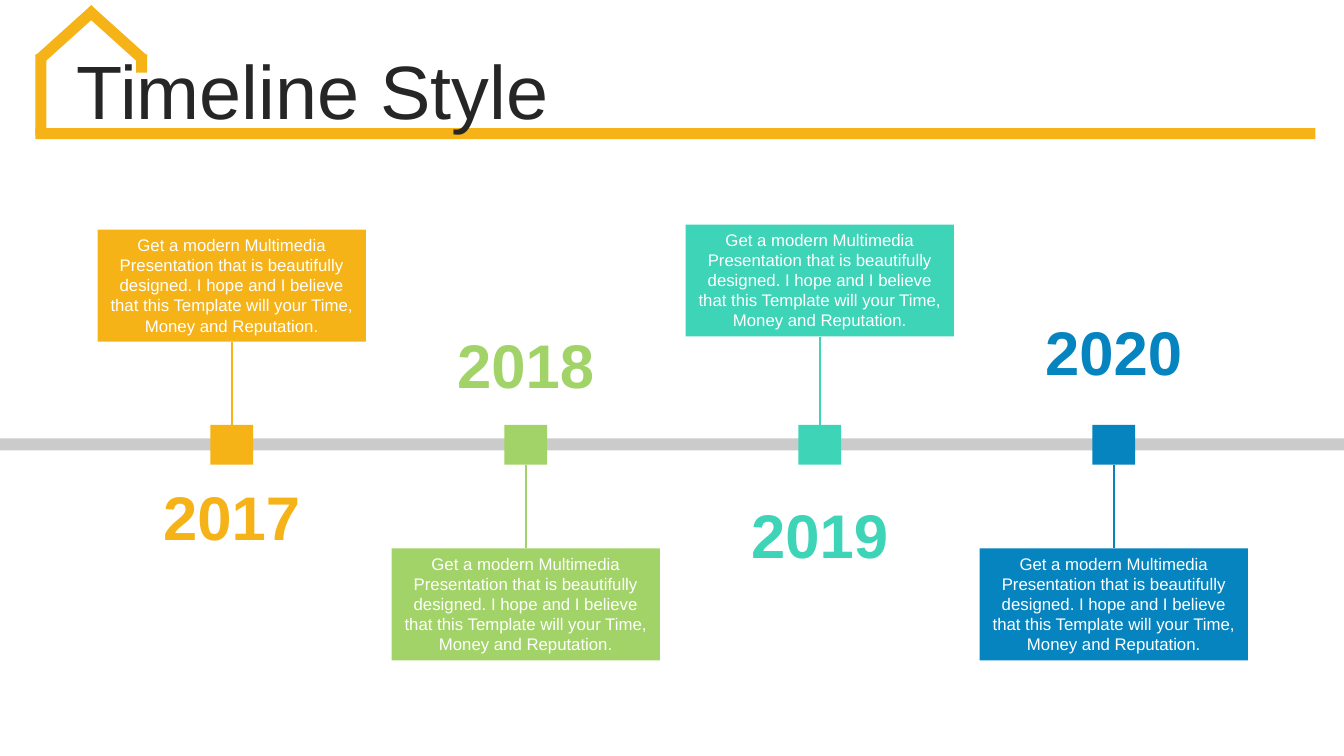
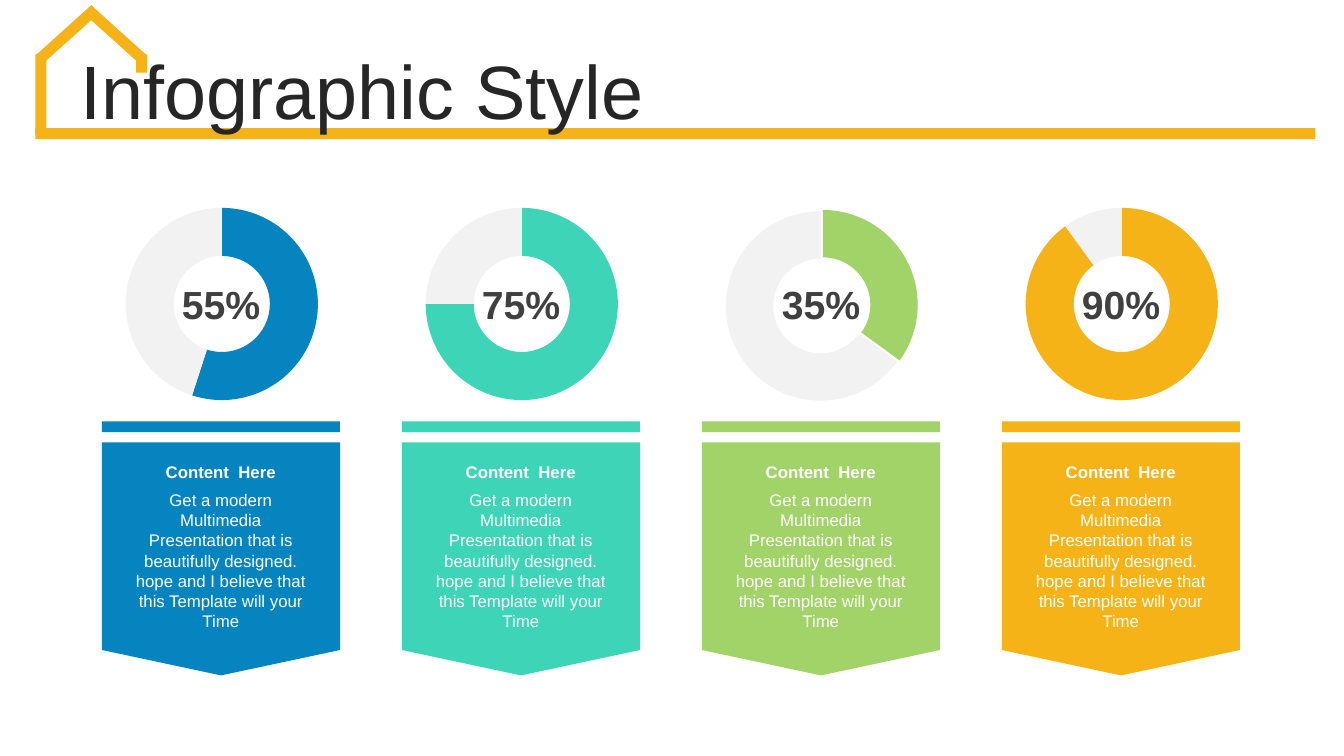
"""Build a timeline slide and a doughnut infographic slide in one house style."""
from dataclasses import dataclass

import lxml.etree
import pptx
import pptx.chart.chart
import pptx.chart.data
import pptx.dml.color
import pptx.enum.chart
import pptx.enum.shapes
import pptx.enum.text
import pptx.oxml.ns
import pptx.shapes.base
import pptx.slide
import pptx.text.text
import pptx.util

Cm = pptx.util.Cm
Pt = pptx.util.Pt
qn = pptx.oxml.ns.qn
ALIGN = pptx.enum.text.PP_ALIGN
ANCHOR = pptx.enum.text.MSO_ANCHOR

FONT = "Arial"
GOLD, LIME, TEAL, BLUE = "F5B317", "A2D368", "3ED4B7", "0684BF"
WHITE, PALE, RAIL, DARK, GREY = "FFFFFF", "F2F2F2", "CBCBCB", "262626", "404040"
WIDE, HIGH = 33.87, 19.05

STORY = ("Get a modern Multimedia Presentation that is beautifully designed. "
         "I hope and I believe that this Template will your Time, Money and Reputation.")
BRIEF = ("Get a modern Multimedia Presentation that is beautifully designed. "
         "hope and I believe that this Template will your Time")


@dataclass(frozen=True)
class Box:
    """A place on the slide in centimetres."""
    left: float
    top: float
    width: float
    height: float

    def cm(self) -> tuple:
        """Give left, top, width and height as lengths."""
        return Cm(self.left), Cm(self.top), Cm(self.width), Cm(self.height)


@dataclass(frozen=True)
class Beam:
    """One bar of the house outline."""
    box: Box
    turn: float = 0


@dataclass(frozen=True)
class Stop:
    """One year on the timeline."""
    year: str
    hue: str
    card: float
    label: float


@dataclass(frozen=True)
class Share:
    """One doughnut with its pennant."""
    value: int
    hue: str
    burst: int = 0
    drop: float = 0.08


HOUSE = [
    Beam(Box(0.89, 3.23, 32.26, 0.28)),
    Beam(Box(0.89, 1.37, 0.28, 2.03)),
    Beam(Box(3.43, 1.37, 0.28, 0.46)),
    Beam(Box(1.55, -0.08, 0.28, 1.9), 48),
    Beam(Box(2.77, -0.08, 0.28, 1.9), 312),
]
STOPS = [
    Stop("2017", GOLD, 5.79, 12.12),
    Stop("2018", LIME, 13.82, 8.28),
    Stop("2019", TEAL, 5.66, 12.57),
    Stop("2020", BLUE, 13.82, 7.95),
]
SHARES = [
    Share(55, BLUE),
    Share(75, TEAL),
    Share(35, LIME, 3, 0.086),
    Share(90, GOLD),
]


def tint(code: str) -> pptx.dml.color.RGBColor:
    """Turn a hex string into a colour."""
    return pptx.dml.color.RGBColor.from_string(code)


def paint(shape: pptx.shapes.base.BaseShape, hue: str) -> None:
    """Fill a shape flat, with no line or shadow."""
    shape.shadow.inherit = False
    shape.fill.solid()
    shape.fill.fore_color.rgb = tint(hue)
    shape.line.fill.background()


def write(frame: pptx.text.text.TextFrame, text: str, size: float, hue: str,
          bold: bool = False, align: ALIGN = ALIGN.CENTER,
          anchor: ANCHOR = ANCHOR.MIDDLE) -> None:
    """Put one styled run in a text frame."""
    frame.word_wrap = True
    frame.auto_size = pptx.enum.text.MSO_AUTO_SIZE.NONE
    frame.vertical_anchor = anchor
    line = frame.paragraphs[0]
    line.alignment = align
    run = line.add_run()
    run.text = text
    run.font.name = FONT
    run.font.size = Pt(size)
    run.font.bold = bold
    run.font.color.rgb = tint(hue)


def block(slide: pptx.slide.Slide, box: Box, hue: str) -> pptx.shapes.base.BaseShape:
    """Draw a flat rectangle."""
    shape = slide.shapes.add_shape(pptx.enum.shapes.MSO_SHAPE.RECTANGLE, *box.cm())
    paint(shape, hue)
    return shape


def label(slide: pptx.slide.Slide, box: Box, text: str, size: float, hue: str,
          bold: bool = True, anchor: ANCHOR = ANCHOR.MIDDLE) -> None:
    """Draw a centred text box."""
    frame = slide.shapes.add_textbox(*box.cm()).text_frame
    write(frame, text, size, hue, bold, anchor=anchor)


def stem(slide: pptx.slide.Slide, mid: float, top: float, end: float, hue: str) -> None:
    """Draw an upright line."""
    line = slide.shapes.add_connector(pptx.enum.shapes.MSO_CONNECTOR.STRAIGHT,
                                      Cm(mid), Cm(top), Cm(mid), Cm(end))
    line.line.color.rgb = tint(hue)
    line.line.width = Pt(1.5)
    lxml.etree.SubElement(line.element.spPr, qn("a:effectLst"))


def frame_house(slide: pptx.slide.Slide) -> None:
    """Put the house outline on the layout of a slide."""
    tree = slide.slide_layout.shapes.element
    for beam in HOUSE:
        shape = block(slide, beam.box, GOLD)
        shape.rotation = beam.turn
        tree.append(shape.element)


def head(slide: pptx.slide.Slide, text: str, left: float) -> None:
    """Place and write the title."""
    title = slide.shapes.title
    box = Box(left, 1.4, 33.05 - left, 2.01)
    title.left, title.top, title.width, title.height = box.cm()
    write(title.text_frame, text, 54, DARK, align=ALIGN.LEFT)
    title.text_frame.paragraphs[0].line_spacing = 0.9


def draw_stop(slide: pptx.slide.Slide, stop: Stop, mid: float) -> None:
    """Draw one marker, card, stem and year."""
    mark = Box(mid - 0.54, 10.71, 1.08, 1)
    card = Box(mid - 3.38, stop.card, 6.76, 2.82)
    block(slide, mark, stop.hue)
    write(block(slide, card, stop.hue).text_frame, STORY, 12, WHITE, anchor=ANCHOR.TOP)
    if card.top < mark.top:
        stem(slide, mid, card.top + card.height, mark.top, stop.hue)
    else:
        stem(slide, mid, mark.top + mark.height, card.top, stop.hue)
    label(slide, Box(mid - 2.77, stop.label, 5.54, 1.78), stop.year, 44, stop.hue)


def tune(chart: pptx.chart.chart.Chart, share: Share) -> None:
    """Set hole, plot area and burst of a doughnut."""
    root = chart.element
    root.find(".//" + qn("c:holeSize")).set("val", "60")
    area = root.find(".//" + qn("c:plotArea"))
    old = area.find(qn("c:layout"))
    if old is not None:
        area.remove(old)
    plan = lxml.etree.Element(qn("c:layout"))
    area.insert(0, plan)
    manual = lxml.etree.SubElement(plan, qn("c:manualLayout"))
    parts = {"layoutTarget": "inner", "xMode": "edge", "yMode": "edge",
             "x": 0.054, "y": share.drop, "w": 0.898, "h": 0.844}
    for name, value in parts.items():
        lxml.etree.SubElement(manual, qn("c:" + name)).set("val", str(value))
    if share.burst:
        burst = lxml.etree.Element(qn("c:explosion"))
        burst.set("val", str(share.burst))
        root.find(".//" + qn("c:ser")).find(qn("c:tx")).addnext(burst)


def ring(slide: pptx.slide.Slide, share: Share, mid: float) -> None:
    """Draw one doughnut chart."""
    data = pptx.chart.data.CategoryChartData()
    data.categories = ["1", "2"]
    data.add_series("Series 1", (share.value, 100 - share.value))
    box = Box(mid - 2.7, 4.78, 5.41, 5.74)
    chart = slide.shapes.add_chart(pptx.enum.chart.XL_CHART_TYPE.DOUGHNUT,
                                   *box.cm(), data).chart
    chart.has_title = False
    chart.has_legend = False
    chart.font.name = FONT
    chart.font.size = Pt(18)
    chart.font.color.rgb = tint("000000")
    plot = chart.plots[0]
    plot.vary_by_categories = True
    tune(chart, share)
    for spot, hue in enumerate((share.hue, PALE)):
        style = plot.series[0].points[spot].format
        style.fill.solid()
        style.fill.fore_color.rgb = tint(hue)
        style.line.fill.background()


def flag(slide: pptx.slide.Slide, mid: float, hue: str) -> None:
    """Draw a pennant with its strip and text."""
    left, right, top, side, tip = mid - 3, mid + 3, 11.15, 16.38, 17.02
    block(slide, Box(left, 10.62, 6, 0.27), hue)
    pen = slide.shapes.build_freeform(Cm(left), Cm(top), 1.0)
    edge = [(right, top), (right, side), (mid, tip), (left, side)]
    pen.add_line_segments([(Cm(x), Cm(y)) for x, y in edge], close=True)
    paint(pen.convert_to_shape(), hue)
    label(slide, Box(mid - 2.48, 11.51, 4.95, 0.76), "Content  Here", 12, WHITE)
    label(slide, Box(mid - 2.48, 12.22, 4.95, 3.84), BRIEF, 12, WHITE, False, ANCHOR.TOP)


def draw_share(slide: pptx.slide.Slide, share: Share, mid: float) -> None:
    """Draw one doughnut, its figure and its pennant."""
    ring(slide, share, mid)
    label(slide, Box(mid - 1.3, 6.93, 2.6, 1.45), f"{share.value}%", 28, GREY)
    flag(slide, mid, share.hue)


def main() -> None:
    """Build and save the deck."""
    deck = pptx.Presentation()
    deck.slide_width, deck.slide_height = Cm(WIDE), Cm(HIGH)
    layout = deck.slide_layouts[5]

    times = deck.slides.add_slide(layout)
    frame_house(times)
    head(times, "Timeline Style", 1.68)
    block(times, Box(0, 11.05, WIDE, 0.3), RAIL)
    for spot, stop in enumerate(STOPS):
        draw_stop(times, stop, 5.84 + 7.41 * spot)

    rings = deck.slides.add_slide(layout)
    head(rings, "Infographic Style", 1.78)
    for spot, share in enumerate(SHARES):
        draw_share(rings, share, 5.57 + 7.56 * spot)

    deck.save("out.pptx")


if __name__ == "__main__":
    main()
